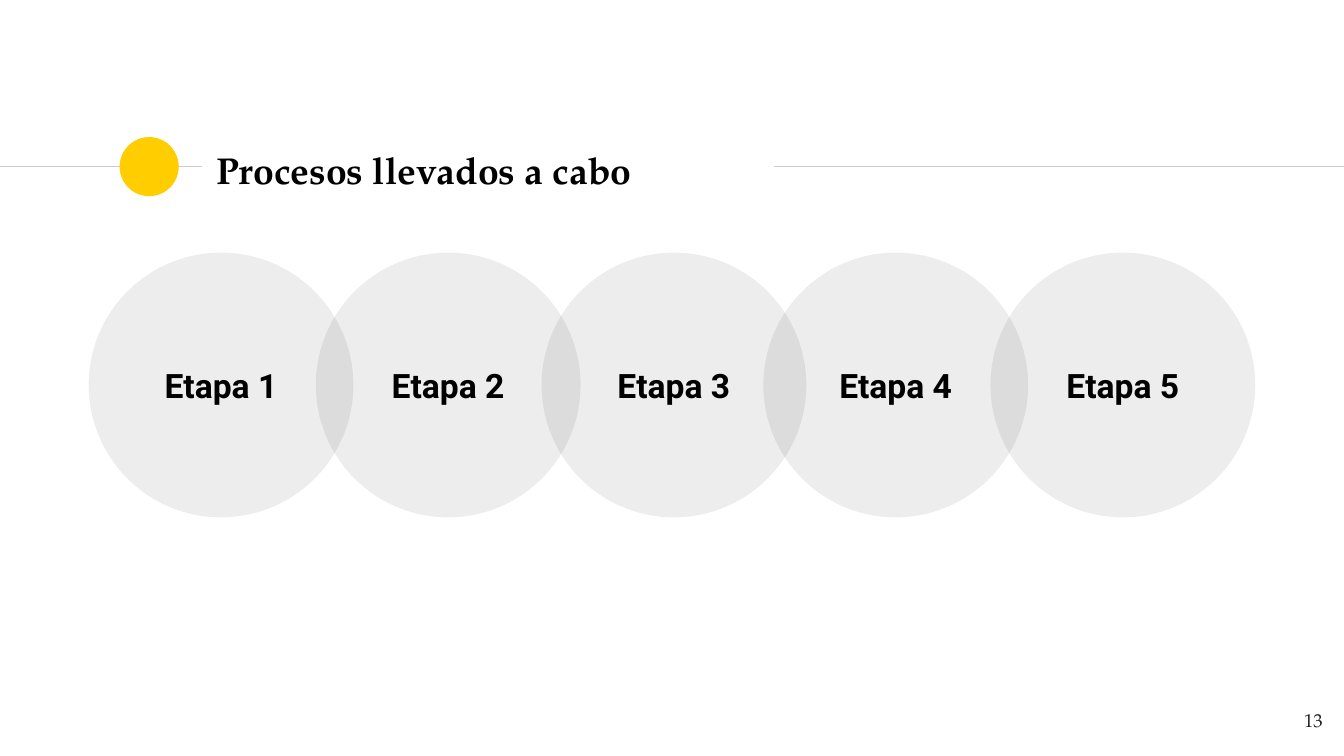
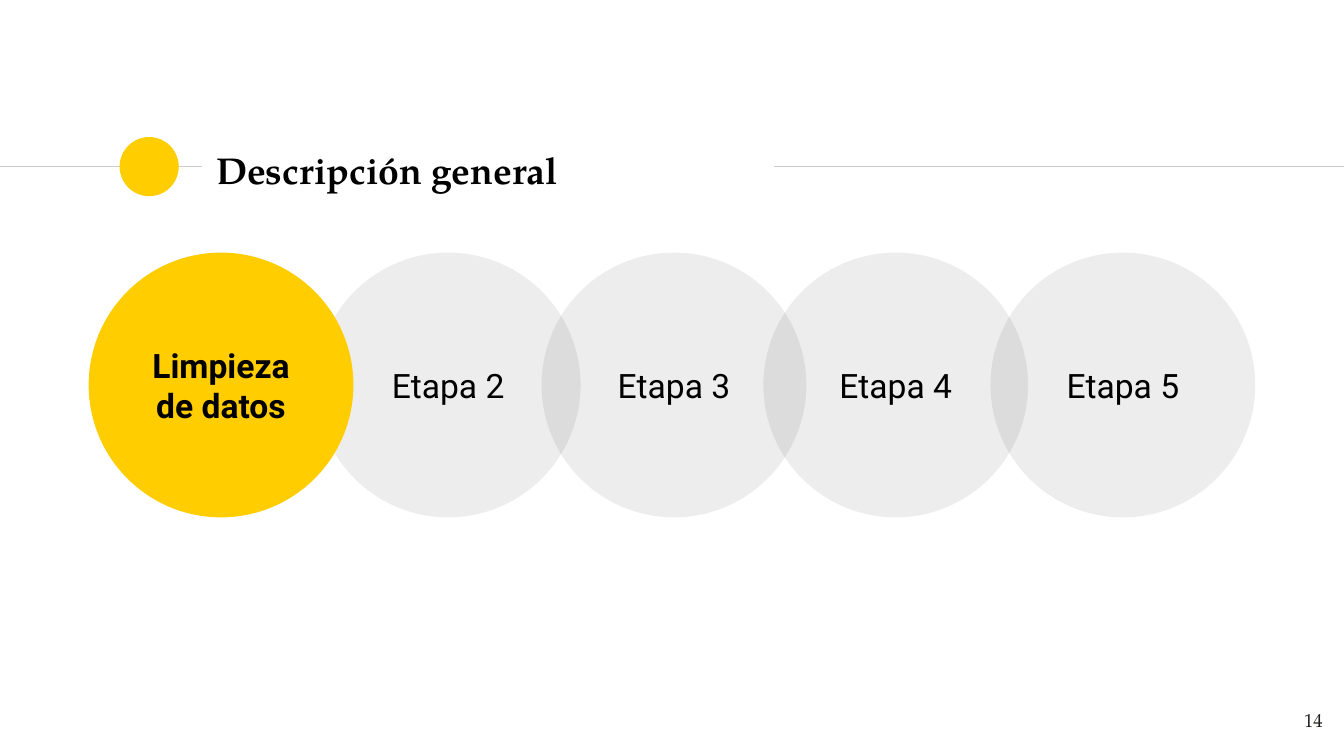
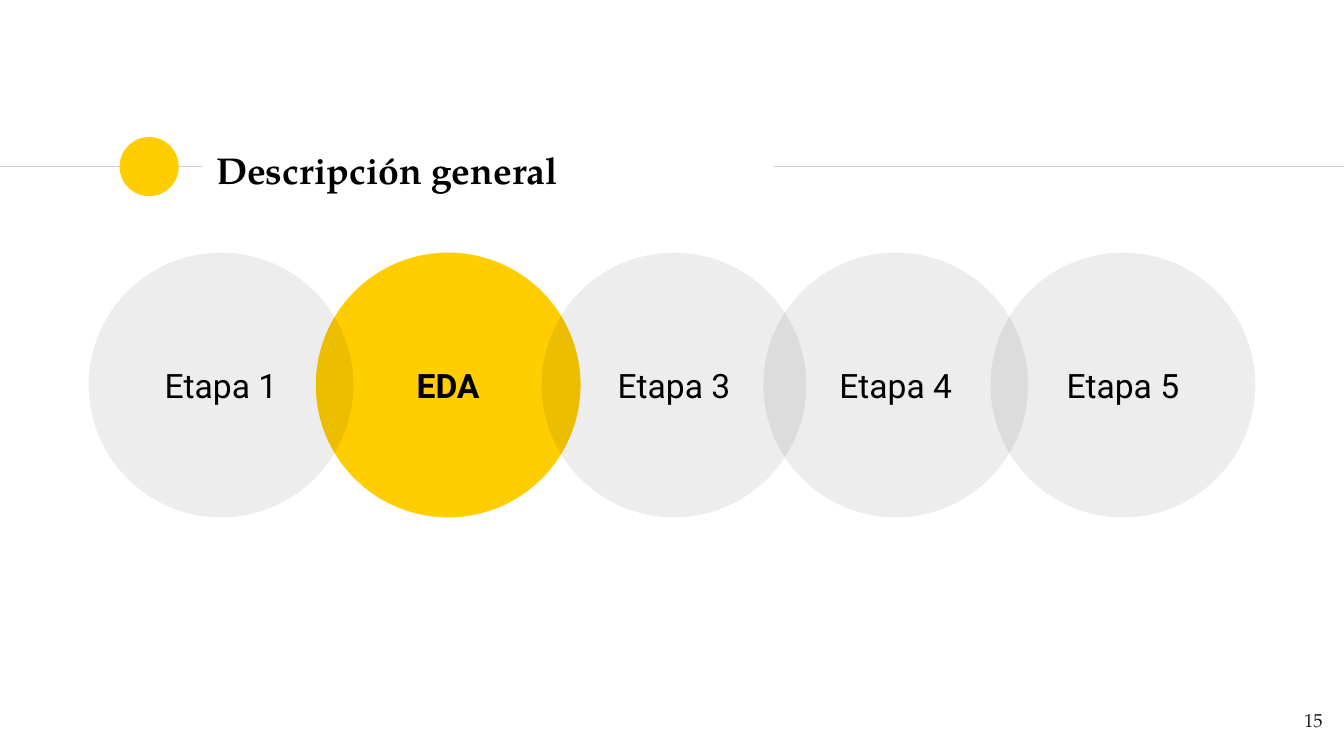
from dataclasses import dataclass

from lxml.etree import SubElement
from pptx import Presentation
from pptx.dml.color import RGBColor
from pptx.enum.shapes import MSO_CONNECTOR as Connector, MSO_SHAPE as Preset
from pptx.enum.text import MSO_ANCHOR as Anchor, PP_ALIGN as Align
from pptx.oxml.ns import qn
from pptx.util import Inches, Pt


@dataclass(frozen=True)
class Theme:
    accent: str = "FFCD00"
    ink: str = "000000"
    page_ink: str = "1D1D1B"
    rule: str = "CCCCCC"
    paper: str = "FFFFFF"
    heading_font: str = "TeX Gyre Pagella"
    body_font: str = "Roboto"
    title_size: int = 20
    stage_size: int = 18
    page_size: int = 10
    rule_width: float = 0.75
    veil_opacity: int = 7


COLUMNS = 100
STAGE_COLUMNS = (6.6, 23.5, 40.3, 56.8, 73.7)
STACKING = (2, 1, 4, 5, 3)
STAGE_ROW = 18.8
STAGE_SIZE = 19.7
RULE_ROW = 12.4
DOT_SIZE = 4.4


class Deck:
    def __init__(self, theme):
        self.theme = theme
        self.presentation = Presentation()
        self.presentation.slide_width = Inches(10)
        self.presentation.slide_height = self.presentation.slide_width * 9 // 16
        self.unit = self.presentation.slide_width / COLUMNS
        self.slide = None

    def grid(self, *cells):
        return [round(cell * self.unit) for cell in cells]

    def start_slide(self, title, page):
        theme = self.theme
        self.slide = self.presentation.slides.add_slide(self.presentation.slide_layouts[6])
        background = self.slide.background.fill
        background.solid()
        background.fore_color.rgb = RGBColor.from_string(theme.paper)
        self.rule(0, 15)
        self.circle(8.9, RULE_ROW - DOT_SIZE / 2, DOT_SIZE, theme.accent)
        self.rule(57.6, COLUMNS)
        self.label(title, (15.1, 10.2, 42.4, 4.8), theme.title_size, theme.ink,
                   Align.LEFT, Anchor.MIDDLE, bold=True)
        self.label(str(page), (93.4, 51.9, 6, 4.3), theme.page_size, theme.page_ink,
                   Align.RIGHT, Anchor.TOP)

    def rule(self, start, end):
        line = self.slide.shapes.add_connector(
            Connector.STRAIGHT, *self.grid(start, RULE_ROW, end, RULE_ROW))
        line.line.color.rgb = RGBColor.from_string(self.theme.rule)
        line.line.width = Pt(self.theme.rule_width)
        SubElement(line._element.spPr, qn("a:effectLst"))

    def circle(self, column, row, size, color, opacity=100):
        disc = self.slide.shapes.add_shape(Preset.OVAL, *self.grid(column, row, size, size))
        disc.shadow.inherit = False
        disc.line.fill.background()
        disc.fill.solid()
        disc.fill.fore_color.rgb = RGBColor.from_string(color)
        if opacity < 100:
            tint = disc._element.spPr.find(qn("a:solidFill"))[0]
            SubElement(tint, qn("a:alpha")).set("val", str(opacity * 1000))
        return disc

    def label(self, text, box, size, color, align, anchor, bold=False):
        holder = self.slide.shapes.add_textbox(*self.grid(*box))
        self.fill_text(holder, text, self.theme.heading_font, size, color, align, anchor, bold)

    def fill_text(self, holder, text, font, size, color, align, anchor, bold):
        frame = holder.text_frame
        frame.word_wrap = True
        frame.vertical_anchor = anchor
        frame.margin_left = frame.margin_right = Inches(0.1)
        frame.margin_top = frame.margin_bottom = Inches(0.1)
        frame.text = text
        paragraph = frame.paragraphs[0]
        paragraph.alignment = align
        style = paragraph.runs[0].font
        style.name = font
        style.size = Pt(size)
        style.bold = bold
        style.color.rgb = RGBColor.from_string(color)

    def stages(self, current=None, name=None):
        theme = self.theme
        for number in STACKING:
            active = number == current
            fill = (theme.accent, 100) if active else (theme.ink, theme.veil_opacity)
            disc = self.circle(STAGE_COLUMNS[number - 1], STAGE_ROW, STAGE_SIZE, *fill)
            self.fill_text(disc, name if active else f"Etapa {number}", theme.body_font,
                           theme.stage_size, theme.ink, Align.CENTER, Anchor.MIDDLE,
                           bold=active or current is None)


def main():
    deck = Deck(Theme())
    contents = (
        ("Procesos llevados a cabo", None, None),
        ("Descripción general", 1, "Limpieza de datos"),
        ("Descripción general", 2, "EDA"),
    )
    for page, (title, current, name) in enumerate(contents, start=13):
        deck.start_slide(title, page)
        deck.stages(current, name)
    deck.presentation.save("out.pptx")


if __name__ == "__main__":
    main()
